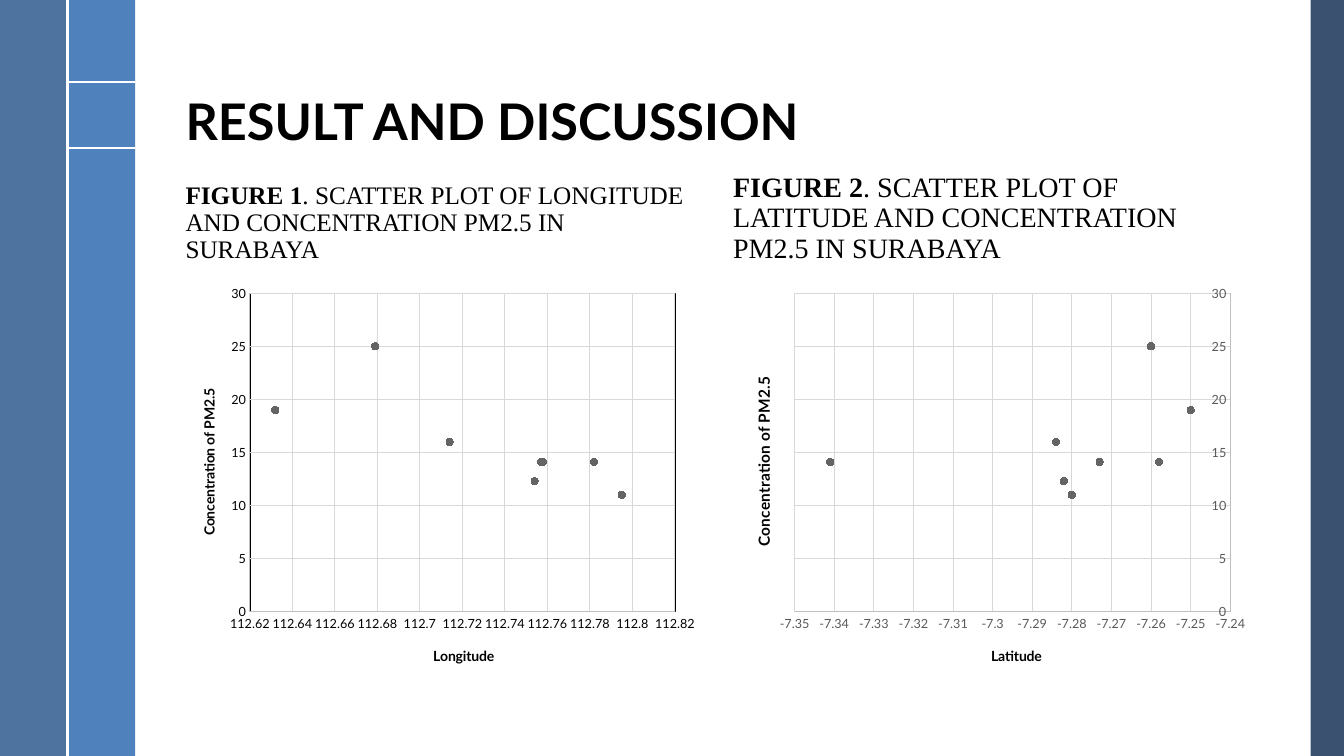
import pptx
import pptx.util
import pptx.chart.data
import pptx.dml.color
import pptx.enum.chart
import pptx.enum.shapes
import pptx.enum.text
import pptx.oxml
import pptx.oxml.ns

Inches = pptx.util.Inches
Pt = pptx.util.Pt
qn = pptx.oxml.ns.qn


def tint(code):
    return pptx.dml.color.RGBColor.from_string(code)


def node(tag, body="", attrs=""):
    names = pptx.oxml.ns.nsdecls("a", "c")
    return pptx.oxml.parse_xml(f"<{tag} {names} {attrs}>{body}</{tag}>")


deck = pptx.Presentation()
deck.slide_width = Inches(13.33)
deck.slide_height = Inches(7.5)
slide = deck.slides.add_slide(deck.slide_layouts[4])
shapes = slide.shapes
holders = {h.placeholder_format.idx: h for h in slide.placeholders}
for idx in (2, 4):
    holders[idx].element.getparent().remove(holders[idx].element)

band = 0.67
for left, width, code, alpha in (
    (13, 0.33, "254061", 90),
    (band, band, "4F81BD", 100),
    (0, band, "376092", 88),
):
    bar = shapes.add_shape(
        pptx.enum.shapes.MSO_SHAPE.RECTANGLE,
        Inches(left), 0, Inches(width), deck.slide_height)
    bar.shadow.inherit = False
    bar.fill.solid()
    bar.fill.fore_color.rgb = tint(code)
    bar.line.fill.background()
    if alpha < 100:
        color = bar.element.spPr.find(qn("a:solidFill"))[0]
        color.append(node("a:alpha", attrs=f'val="{alpha * 1000}"'))

for ends in ((band, 0.81, 2 * band, 0.81), (band, 1.47, 2 * band, 1.47), (band, 0, band, 7.5)):
    rule = shapes.add_connector(
        pptx.enum.shapes.MSO_CONNECTOR.STRAIGHT, *map(Inches, ends))
    rule.line.color.rgb = tint("FFFFFF")
    rule.line.width = Pt(1.5)
    rule.element.spPr.append(node("a:effectLst"))

cols = (1.74, 7.17)
wide = 5.27
caption = ". SCATTER PLOT OF {} AND CONCENTRATION PM2.5 IN SURABAYA"
for idx, box, size, font, runs in (
    (0, (cols[0], 0.19, 10.7, 1.36), 36, "Lato", [("RESULT AND DISCUSSION", True)]),
    (1, (cols[0], 1.64, wide, 1.03), 18, "Times New Roman",
     [("FIGURE 1", True), (caption.format("LONGITUDE"), False)]),
    (3, (cols[1], 1.64, wide, 1.03), 20, "Times New Roman",
     [("FIGURE 2", True), (caption.format("LATITUDE"), False)]),
):
    holder = holders[idx]
    holder.left, holder.top, holder.width, holder.height = map(Inches, box)
    frame = holder.text_frame
    frame.word_wrap = True
    frame.auto_size = pptx.enum.text.MSO_AUTO_SIZE.NONE
    frame.vertical_anchor = pptx.enum.text.MSO_ANCHOR.BOTTOM
    para = frame.paragraphs[0]
    para.alignment = pptx.enum.text.PP_ALIGN.LEFT
    para.line_spacing = 0.9
    para.space_before = Pt(0)
    for text, bold in runs:
        run = para.add_run()
        run.text = text
        run.font.name = font
        run.font.size = Pt(size)
        run.font.bold = bold
        run.font.color.rgb = tint("000000")

levels = (11, 14.1, 14.1, 14.1, 12.3, 16, 19, 25)
plots = (
    dict(name="Longitude", left=cols[0], ink="000000", size=10,
         span=(112.62, 112.82, 0.02), area=(0.14, 0.04, 0.8, 0.79),
         spots=((0.48, 0.91), (0.04, 0.27)),
         places=(112.795, 112.757, 112.758, 112.782, 112.754, 112.714, 112.632, 112.679)),
    dict(name="Latitude", left=cols[1], ink="595959", size=11,
         span=(-7.35, -7.24, 0.01), area=(0.135, 0.04, 0.82, 0.79),
         spots=((0.5, 0.91), (0.05, 0.24)),
         places=(-7.28, -7.341, -7.258, -7.273, -7.282, -7.284, -7.25, -7.26)),
)
white = '<a:solidFill><a:srgbClr val="FFFFFF"/></a:solidFill>'
for plot in plots:
    data = pptx.chart.data.XyChartData()
    points = data.add_series("Series 1")
    for place, level in zip(plot["places"], levels):
        points.add_data_point(place, level)
    chart = shapes.add_chart(
        pptx.enum.chart.XL_CHART_TYPE.XY_SCATTER,
        Inches(plot["left"]), Inches(2.75), Inches(wide), Inches(4), data).chart
    chart.has_legend = False
    chart.has_title = False
    chart.font.name = "Lato"
    chart.font.size = Pt(10)
    chart.font.color.rgb = tint("000000")
    chart.plots[0].vary_by_categories = False
    series = chart.plots[0].series[0]
    series.smooth = False
    series.format.line.fill.background()
    mark = series.marker
    mark.style = pptx.enum.chart.XL_MARKER_STYLE.CIRCLE
    mark.size = 5
    mark.format.fill.solid()
    mark.format.fill.fore_color.rgb = tint("646464")
    mark.format.line.color.rgb = tint("646464")

    slots = []
    for axis, text, size, span, spot in (
        (chart.category_axis, plot["name"], 10, plot["span"], plot["spots"][0]),
        (chart.value_axis, "Concentration of PM2.5", plot["size"], (0, 30, 5), plot["spots"][1]),
    ):
        axis.minimum_scale, axis.maximum_scale, axis.major_unit = span
        axis.major_tick_mark = axis.minor_tick_mark = pptx.enum.chart.XL_TICK_MARK.NONE
        axis.has_major_gridlines = True
        for line, code in ((axis.format.line, "BFBFBF"), (axis.major_gridlines.format.line, "D9D9D9")):
            line.color.rgb = tint(code)
            line.width = Pt(0.75)
        labels = axis.tick_labels
        labels.number_format = "General"
        labels.number_format_is_linked = False
        labels.font.name = "Lato"
        labels.font.size = Pt(9)
        labels.font.color.rgb = tint(plot["ink"])
        title = axis.axis_title
        run = title.text_frame.paragraphs[0].add_run()
        run.text = text
        run.font.name = "Lato"
        run.font.size = Pt(size)
        run.font.bold = True
        run.font.color.rgb = tint("000000")
        if axis is not chart.category_axis and text != plot["name"]:
            turn = next(title.element.iter(qn("a:bodyPr")))
            turn.set("rot", "-5400000")
            turn.set("vert", "horz")
        slots.append((title.element, spot))

    area = next(chart.element.iter(qn("c:plotArea")))
    for home, spot in slots + [(area, plot["area"])]:
        slot = home.find(qn("c:layout"))
        if slot is None:
            slot = node("c:layout")
            home.insert(0 if home is area else 1, slot)
        body = '<c:layoutTarget val="inner"/>' if home is area else ""
        body += '<c:xMode val="edge"/><c:yMode val="edge"/>'
        body += "".join(f'<c:{key} val="{share}"/>' for key, share in zip("xywh", spot))
        slot.append(node("c:manualLayout", body))
    edge = '<a:ln w="12700"><a:solidFill><a:srgbClr val="000000"/></a:solidFill></a:ln>'
    area.append(node("c:spPr", white + edge))
    chart.element.find(qn("c:chart")).addnext(
        node("c:spPr", white + "<a:ln><a:noFill/></a:ln>"))

deck.save("out.pptx")
